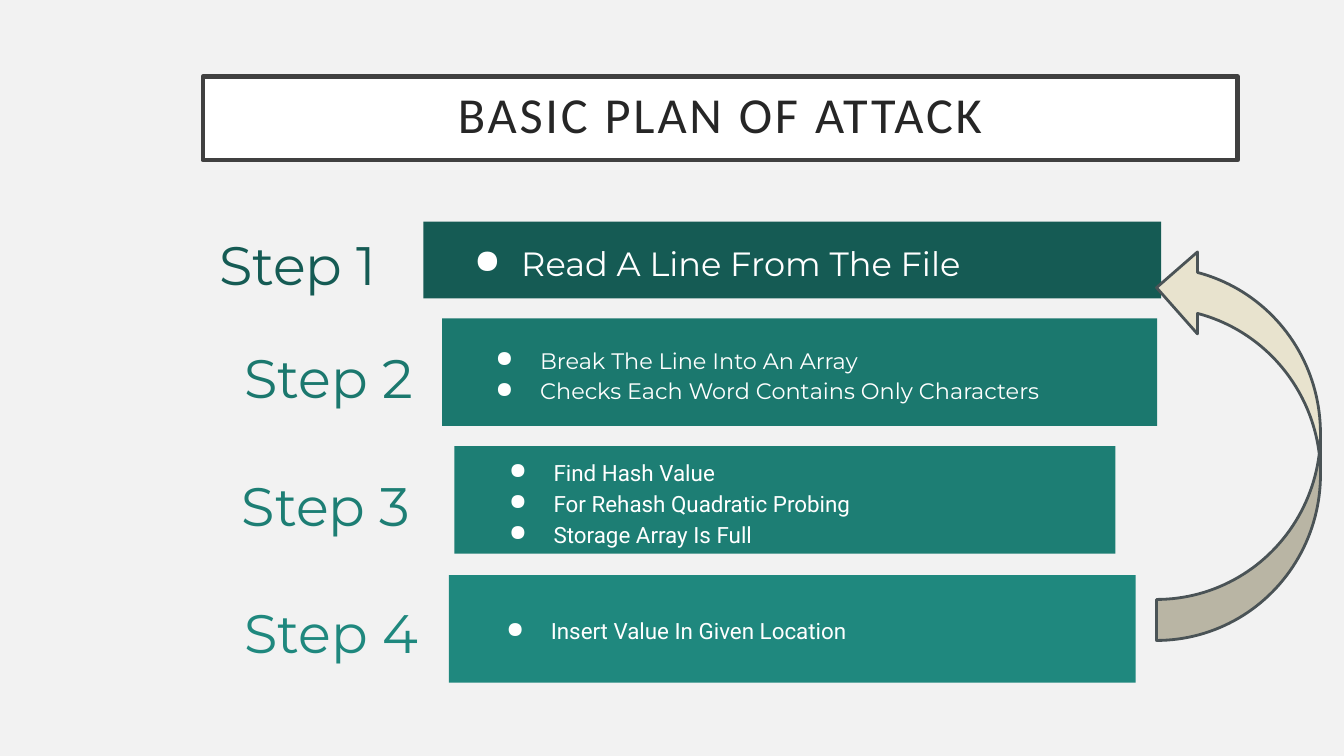
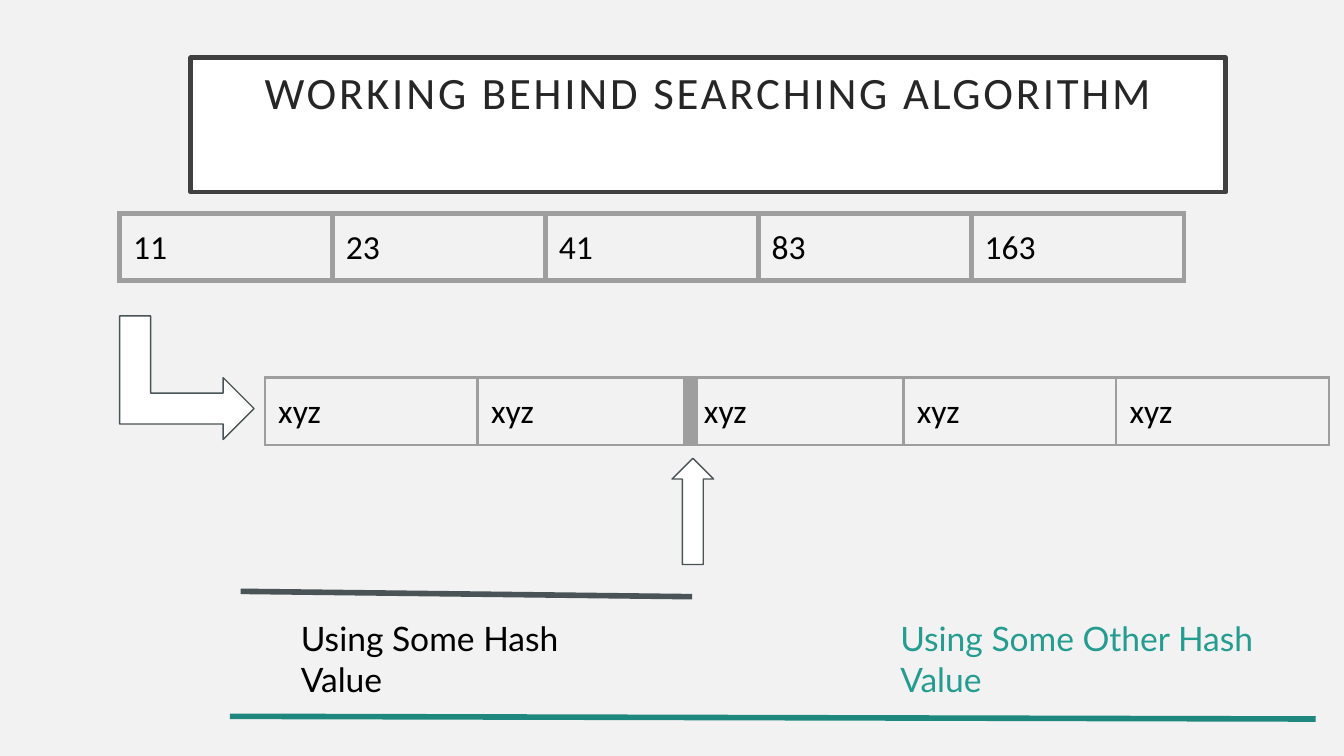
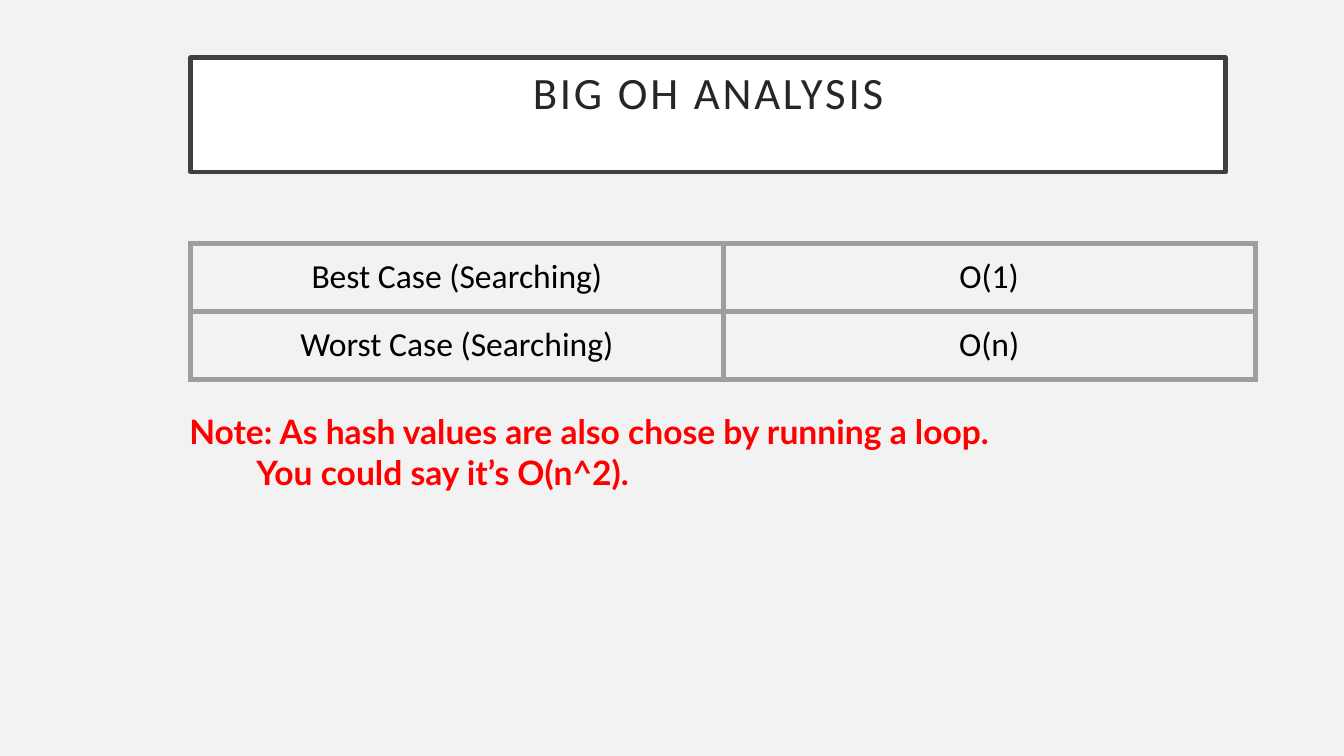
import dataclasses

import pptx
import pptx.dml.color
import pptx.enum.shapes
import pptx.enum.text
import pptx.oxml
import pptx.oxml.ns
import pptx.util
from lxml import etree

Pt = pptx.util.Pt
RGB = pptx.dml.color.RGBColor.from_string
MSO = pptx.enum.shapes.MSO_SHAPE
ALIGN = pptx.enum.text.PP_ALIGN
ANCHOR = pptx.enum.text.MSO_ANCHOR
qn = pptx.oxml.ns.qn


@dataclasses.dataclass(frozen=True)
class Theme:
    paper: str = "F2F2F2"
    white: str = "FFFFFF"
    black: str = "000000"
    frame: str = "404040"
    title: str = "262626"
    slate: str = "4A5356"
    sand: str = "E8E3CE"
    rule: str = "9E9E9E"
    teal: str = "1F887E"
    light_teal: str = "249C90"
    red: str = "FF0000"
    steps: tuple = ("155B54", "1B786E", "1D7E74", "1F887E")
    main_font: str = "Calibri"
    step_font: str = "Montserrat"
    list_font: str = "Roboto"
    note_font: str = "Lato"
    first_title_size: int = 27
    title_size: int = 24
    step_size: int = 29
    body_size: int = 18
    list_size: int = 12


T = Theme()

prs = pptx.Presentation()
prs.slide_width = pptx.util.Inches(10)
prs.slide_height = pptx.util.Inches(5.625)
U = prs.slide_width // 100  # the grid: 100 square units across the slide


def add_box(shapes, at, kind=None, fill=None, line=None, width=1, lines=(), font=T.main_font,
            size=T.body_size, color=T.black, bold=False, align=ALIGN.LEFT, spacing=1.0,
            inset=(1, 1, 1, 1), anchor=ANCHOR.TOP):
    """Add a preset shape, or a text box when no kind is given; at and inset are in grid units."""
    frame = [round(v * U) for v in at]
    if kind is None:
        sp = shapes.add_textbox(*frame)
    else:
        sp = shapes.add_shape(kind, *frame)
        sp.shadow.inherit = False
        sp.fill.solid()
        sp.fill.fore_color.rgb = RGB(fill)
        if line:
            sp.line.color.rgb = RGB(line)
            sp.line.width = Pt(width)
        else:
            sp.line.fill.background()
    tf = sp.text_frame
    tf.word_wrap = True
    tf.vertical_anchor = anchor
    tf.margin_left, tf.margin_top, tf.margin_right, tf.margin_bottom = [round(v * U) for v in inset]
    for i, text in enumerate(lines):
        p = tf.add_paragraph() if i else tf.paragraphs[0]
        p.text = text
        p.alignment, p.line_spacing = align, spacing
        p.font.name, p.font.size, p.font.bold = font, Pt(size), bold
        p.font.color.rgb = RGB(color)
    return sp


def add_grid(shapes, at, rows, width, align=ALIGN.LEFT, thick_after=None):
    """Add a ruled table; thick_after is the column whose right border is heavy."""
    row_height, count = 4.2, len(rows[0])
    frame = [round(v * U) for v in (*at, 79.2, row_height * len(rows))]
    table = shapes.add_table(len(rows), count, *frame).table
    table.first_row = table.horz_banding = False
    for y, row in enumerate(rows):
        for x, text in enumerate(row):
            cell = table.cell(y, x)
            cell.margin_left = cell.margin_right = cell.margin_top = cell.margin_bottom = U
            p = cell.text_frame.paragraphs[0]
            p.text, p.alignment = text, align
            p.font.name, p.font.size = T.main_font, Pt(T.body_size)
            p.font.color.rgb = RGB(T.black)
            tc_pr = cell._tc.get_or_add_tcPr()
            for side in ("L", "R", "T", "B"):
                heavy = thick_after is not None and (x, side) in ((thick_after, "R"), (thick_after + 1, "L"))
                ln = etree.SubElement(tc_pr, qn(f"a:ln{side}"), w=str(int(Pt(9 if heavy else width))))
                solid = etree.SubElement(ln, qn("a:solidFill"))
                etree.SubElement(solid, qn("a:srgbClr"), val=T.rule)
            cell.fill.background()


# Shared background and title bands
background = prs.slide_master.background.fill
background.solid()
background.fore_color.rgb = RGB(T.paper)

titles = [
    ("BASIC PLAN OF ATTACK", (15.1, 5.7, 77, 6.2), T.first_title_size),
    ("WORKING BEHIND SEARCHING ALGORITHM", (14.2, 4.3, 77, 10), T.title_size),
    ("BIG OH ANALYSIS", (14.2, 4.3, 77, 8.5), T.title_size),
]
slides = []
for title, at, size in titles:
    s = prs.slides.add_slide(prs.slide_layouts[6])
    sp = add_box(s.shapes, at, MSO.RECTANGLE, T.white, T.frame, 2.5, [title], size=size,
                 color=T.title, align=ALIGN.CENTER, spacing=0.9)
    sp.text_frame.paragraphs[0].font._rPr.set("spc", "150")
    slides.append(s.shapes)
plan, search, analysis = slides

# Slide 1: four steps, each a label, a bar and a bulleted list
steps = [
    # label, its left inset, bar, list, list font, list size, hanging indent, list lines
    ((8.7, 16.9, 21.9, 4.9), 7.6, (31.5, 16.5, 54.9, 5.7), (32.8, 17.1, 50.1, 4.5),
     T.step_font, T.body_size, 3.5, ["Read A Line From The File"]),
    ((7.2, 24.3, 24.8, 6.9), 11, (32.9, 23.7, 53.2, 8), (34.2, 26, 47.8, 3.6),
     T.step_font, T.list_size, 3.3,
     ["Break The Line Into An Array", "Checks Each Word Contains Only Characters"]),
    ((10.2, 33.8, 22.8, 6.9), 7.8, (33.8, 33.2, 49.2, 8), (35.2, 35.5, 42.1, 3.6),
     T.list_font, T.list_size, 3.3,
     ["Find Hash Value", "For Rehash Quadratic Probing", "Storage Array Is Full"]),
    ((8.7, 43.3, 23.8, 6.9), 9.5, (33.4, 42.8, 51.1, 8), (35, 45, 47.5, 3.6),
     T.list_font, T.list_size, 3.3, ["Insert Value In Given Location"]),
]
for n, (label, left, bar, listing, font, size, hang, lines) in enumerate(steps):
    color = T.steps[n]
    group = plan.add_group_shape().shapes
    add_box(group, label, lines=[f"Step {n + 1}"], font=T.step_font, size=T.step_size, color=color,
            spacing=0.9, inset=(left, 1.2, 0, 0), anchor=ANCHOR.MIDDLE)
    add_box(group, bar, MSO.RECTANGLE, color)
    sp = add_box(group, listing, lines=lines, font=font, size=size, color=T.white, spacing=1.15,
                 inset=(1, 0.5, 1, 0.5), anchor=ANCHOR.MIDDLE)
    for p in sp.text_frame.paragraphs:
        p_pr = p._p.get_or_add_pPr()
        p_pr.set("marL", str(5 * U))
        p_pr.set("indent", str(round(-hang * U)))
        bullet = pptx.oxml.parse_xml(
            f'<a:buChar xmlns:a="{pptx.oxml.ns.nsdecls("a").split(chr(34))[1]}" char="●"/>')
        p_pr.find(qn("a:defRPr")).addprevious(bullet)

loop_arrow = add_box(plan, (77.5, 26.9, 29.3, 12.2), MSO.CURVED_UP_ARROW, T.sand, T.slate, 1.5)
loop_arrow.rotation = 270

# Slide 2: two hash tables, the arrows between them and the two ranges
add_grid(search, (8.9, 15.9), [["11", "23", "41", "83", "163"]], 3)
bent_arrow = add_box(search, (9.3, 23.1, 9.2, 10), MSO.BENT_UP_ARROW, T.white, T.slate, 0.75)
bent_arrow.rotation = 90
add_grid(search, (19.7, 28.1), [["xyz"] * 5], 1.5, thick_after=1)
add_box(search, (50, 34.1, 3.1, 7.9), MSO.UP_ARROW, T.white, T.slate, 0.75)

ranges = [
    ((17.9, 44, 51.5, 44.4), T.slate, (21.4, 45, 23.8, 8.1), T.black, "Using Some Hash Value"),
    ((17.1, 53.3, 97.9, 53.5), T.teal, (66, 45, 29.8, 8.1), T.light_teal, "Using Some Other Hash Value"),
]
for ends, line_color, at, color, text in ranges:
    line = search.add_connector(pptx.enum.shapes.MSO_CONNECTOR.STRAIGHT, *[round(v * U) for v in ends])
    line.line.color.rgb = RGB(line_color)
    line.line.width = Pt(3)
    etree.SubElement(line._element.spPr, qn("a:effectLst"))
    add_box(search, at, lines=[text], font=T.note_font, color=color)

# Slide 3: search costs and a note with a hanging indent
costs = [["Best Case (Searching)", "O(1)"], ["Worst Case (Searching)", "O(n)"]]
add_grid(analysis, (14.2, 18.1), costs, 3, ALIGN.CENTER)
note = "Note: As hash values are also chose by running a loop.\vYou could say it’s O(n^2)."
sp = add_box(analysis, (13.1, 29.6, 79.2, 8.1), lines=[note], font=T.note_font, color=T.red, bold=True)
p_pr = sp.text_frame.paragraphs[0]._p.get_or_add_pPr()
p_pr.set("marL", str(5 * U))
p_pr.set("indent", str(-5 * U))

prs.save("out.pptx")
